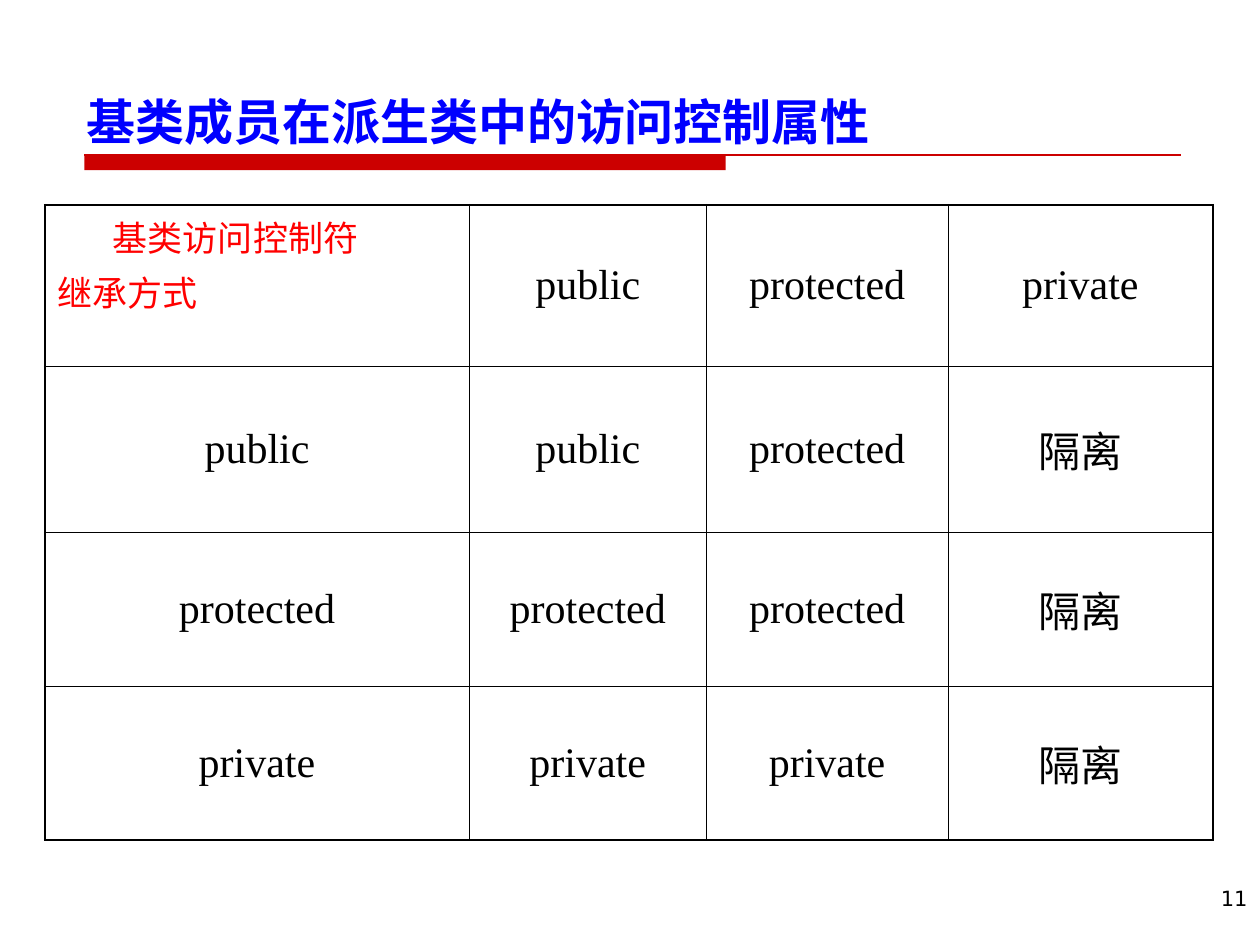
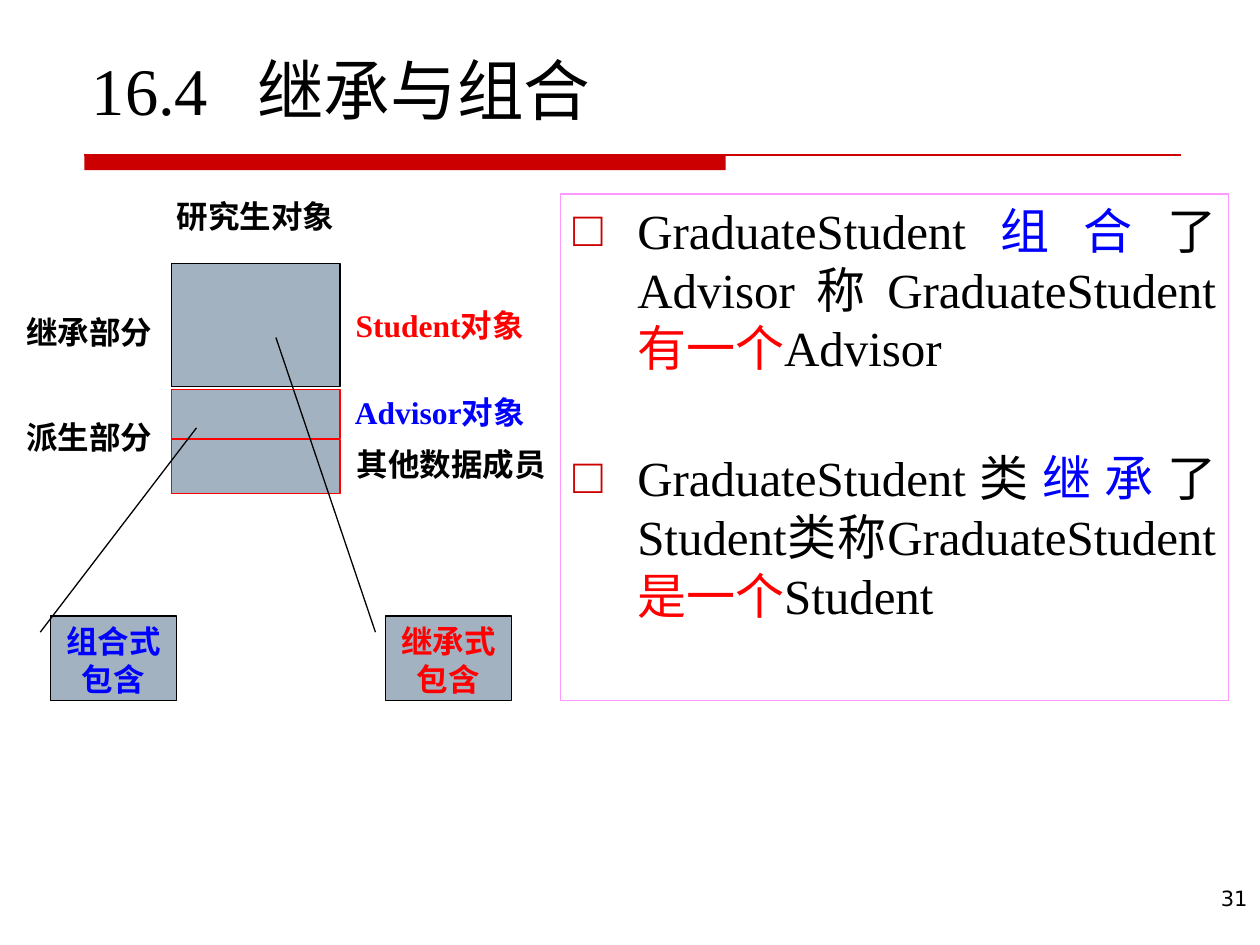
from dataclasses import dataclass

from lxml.etree import SubElement
from pptx import Presentation
from pptx.dml.color import RGBColor as Rgb
from pptx.enum.shapes import MSO_CONNECTOR as Link, MSO_SHAPE as Preset
from pptx.enum.text import MSO_ANCHOR as Anchor, PP_ALIGN as Align
from pptx.oxml.ns import qn
from pptx.util import Inches, Pt


@dataclass(frozen=True)
class Theme:
    """Colours, fonts, type sizes and line widths."""
    ink: str = "000000"
    blue: str = "0000FF"
    red: str = "FF0000"
    band: str = "CC0000"
    block: str = "A3B2C1"
    frame: str = "FF99FF"
    serif: str = "Times New Roman"
    sans: str = "DejaVu Sans"
    chapter: int = 38
    heading: int = 28
    cell: int = 24
    corner: int = 20
    label: int = 18
    footer: int = 12
    hairline: float = 0.75
    inner: float = 0.45
    outer: float = 1.08


class Deck:
    """Draws styled elements on the current slide, on a grid of 100 columns by 75 rows."""
    COLUMNS, ROWS = 100, 75

    def __init__(self, theme):
        """Open an empty 10 by 7.5 inch presentation."""
        self.theme = theme
        self.show = Presentation()
        self.show.slide_width, self.show.slide_height = Inches(10), Inches(7.5)
        self.slide = None

    def x(self, columns):
        """Turn columns into a length."""
        return round(self.show.slide_width * columns / self.COLUMNS)

    def y(self, rows):
        """Turn rows into a length."""
        return round(self.show.slide_height * rows / self.ROWS)

    def area(self, left, top, width, height):
        """Turn a grid area into lengths."""
        return self.x(left), self.y(top), self.x(width), self.y(height)

    def page(self, number):
        """Start a slide with the red band and the page number."""
        self.slide = self.show.slides.add_slide(self.show.slide_layouts[6])
        self.block((6.7, 12.3, 50.9, 1.2), self.theme.band)
        self.line((6.7, 12.3), (93.7, 12.3), self.theme.band)
        self.text((78.6, 69.8, 21.4, 5.2), str(number), self.theme.footer,
                  align=Align.RIGHT, font=self.theme.sans)

    def line(self, start, end, color):
        """Draw a straight line between two grid points."""
        rule = self.slide.shapes.add_connector(
            Link.STRAIGHT, self.x(start[0]), self.y(start[1]), self.x(end[0]), self.y(end[1]))
        rule.line.color.rgb = Rgb.from_string(color)
        rule.line.width = Pt(self.theme.hairline)
        SubElement(rule.element.spPr, qn("a:effectLst"))

    def block(self, area, fill=None, border=None, preset=Preset.RECTANGLE):
        """Draw a preset shape with an optional fill and border."""
        part = self.slide.shapes.add_shape(preset, *self.area(*area))
        part.shadow.inherit = False
        if fill:
            part.fill.solid()
            part.fill.fore_color.rgb = Rgb.from_string(fill)
        else:
            part.fill.background()
        if border:
            part.line.color.rgb = Rgb.from_string(border)
            part.line.width = Pt(self.theme.hairline)
        else:
            part.line.fill.background()
        return part

    def run(self, paragraph, words, size, color=None, bold=False, font=None):
        """Add one styled run."""
        run = paragraph.add_run()
        run.text = words
        run.font.size, run.font.bold = Pt(size), bold
        run.font.name = font or self.theme.serif
        run.font.color.rgb = Rgb.from_string(color or self.theme.ink)

    def text(self, area, words, size, align=Align.LEFT, anchor=Anchor.TOP, tab=None, **style):
        """Place a text box of one paragraph."""
        frame = self.slide.shapes.add_textbox(*self.area(*area)).text_frame
        frame.word_wrap, frame.vertical_anchor = True, anchor
        paragraph = frame.paragraphs[0]
        paragraph.alignment = align
        if tab:
            stops = SubElement(paragraph._p.get_or_add_pPr(), qn("a:tabLst"))
            SubElement(stops, qn("a:tab"), pos=str(self.x(tab)), algn="l")
        self.run(paragraph, words, size, **style)
        return frame

    def label(self, area, words, color=None):
        """Place a bold centred label on one line."""
        frame = self.text(area, words, self.theme.label, Align.CENTER, Anchor.MIDDLE,
                          color=color, bold=True)
        frame.word_wrap = False
        frame.margin_left = frame.margin_right = 0

    def callout(self, area, words, color, pointer):
        """Draw a box with a pointer line."""
        note = self.block(area, self.theme.block, self.theme.ink, Preset.LINE_CALLOUT_1)
        for index, share in enumerate(pointer):
            note.adjustments[index] = share
        frame = note.text_frame
        frame.word_wrap, frame.vertical_anchor = True, Anchor.TOP
        frame.paragraphs[0].alignment = Align.CENTER
        self.run(frame.paragraphs[0], words, self.theme.label, color, True)

    def bullets(self, area, points, indent, gap):
        """Place framed, justified bullet points, each a list of (words, colour)."""
        frame = self.block(area, border=self.theme.frame).text_frame
        frame.word_wrap, frame.vertical_anchor = True, Anchor.TOP
        for index, point in enumerate(points):
            paragraph = frame.add_paragraph() if index else frame.paragraphs[0]
            props = paragraph._p.get_or_add_pPr()
            props.set("marL", str(self.x(indent)))
            props.set("indent", str(-self.x(indent)))
            SubElement(SubElement(props, qn("a:buClr")), qn("a:srgbClr"), val=self.theme.band)
            SubElement(props, qn("a:buFont"), typeface=self.theme.serif)
            SubElement(props, qn("a:buChar"), char="□")
            paragraph.alignment = Align.JUSTIFY
            paragraph.space_before = Pt(gap if index else 0)
            for words, color in point:
                self.run(paragraph, words, self.theme.heading, color)

    def borders(self, cell, outer_sides):
        """Draw the four cell borders, heavier on the outer sides."""
        props = cell._tc.get_or_add_tcPr()
        for side in "LRTB":
            width = self.theme.outer if side in outer_sides else self.theme.inner
            edge = SubElement(props, qn(f"a:ln{side}"), w=str(Pt(width)))
            SubElement(SubElement(edge, qn("a:solidFill")), qn("a:srgbClr"), val=self.theme.ink)

    def table(self, left, top, widths, heights, content, corner):
        """Draw a ruled table whose first cell holds (words, indent) lines."""
        area = self.area(left, top, sum(widths), sum(heights))
        grid = self.slide.shapes.add_table(len(heights), len(widths), *area).table
        grid.first_row = grid.horz_banding = False
        for column, width in zip(grid.columns, widths):
            column.width = self.x(width)
        for row, height in zip(grid.rows, heights):
            row.height = self.y(height)
        for r, row in enumerate(content):
            for c, words in enumerate(row):
                cell = grid.cell(r, c)
                edges = {"L": c == 0, "R": c == len(widths) - 1, "T": r == 0, "B": r == len(heights) - 1}
                self.borders(cell, [side for side, outer in edges.items() if outer])
                cell.fill.background()
                if words:
                    cell.vertical_anchor = Anchor.MIDDLE
                    paragraph = cell.text_frame.paragraphs[0]
                    paragraph.alignment = Align.CENTER
                    self.run(paragraph, words, self.theme.cell)
        frame = grid.cell(0, 0).text_frame
        for index, (words, indent) in enumerate(corner):
            paragraph = frame.add_paragraph() if index else frame.paragraphs[0]
            paragraph._p.get_or_add_pPr().set("marL", str(self.x(indent)))
            paragraph.space_before = Pt(2.5 * index)
            self.run(paragraph, words, self.theme.corner, self.theme.red)


def access_slide(deck):
    """Show how inheritance changes member access."""
    deck.page(11)
    access = ["public", "protected", "private"]
    inherited = [[kind, *(max(kind, base, key=access.index) for base in access[:2]), "隔离"]
                 for kind in access]
    deck.table(3.55, 16.25, [33.7, 18.8, 19.2, 21], [12.8, 13.2, 12.2, 12.2],
               [["", *access], *inherited], [("基类访问控制符", 4.4), ("继承方式", 0)])
    deck.text((5.9, 6.8, 70.1, 5.7), "基类成员在派生类中的访问控制属性",
              deck.theme.heading, color=deck.theme.blue, bold=True)


def composition_slide(deck):
    """Compare inheritance with composition."""
    theme = deck.theme
    deck.page(31)
    deck.bullets((44.5, 15.4, 53, 40.2), [
        [("GraduateStudent", theme.ink), ("组合", theme.blue),
         ("了Advisor称GraduateStudent ", theme.ink), ("有一个", theme.red), ("Advisor", theme.ink)],
        [("GraduateStudent类", theme.ink), ("继承", theme.blue),
         ("了Student类称GraduateStudent ", theme.ink), ("是一个", theme.red), ("Student", theme.ink)],
    ], indent=5.1, gap=40.5)
    for top, height, border in [(20.9, 9.8, theme.ink), (30.9, 3.9, theme.red), (34.9, 4.3, theme.red)]:
        deck.block((13.6, top, 13.4, height), theme.block, border)
    for top, words in [(23, "继承部分"), (31.3, "派生部分")]:
        deck.label((1, top, 12.2, 6.7), words)
    for left, top, words, color in [
        (27.8, 34.9, "其他数据成员", theme.ink),
        (26.9, 23.8, "Student对象", theme.red),
        (26.9, 30.7, "Advisor对象", theme.blue),
        (12.3, 15.2, "研究生对象", theme.ink),
    ]:
        deck.label((left, top, 16, 3.9), words, color)
    for left, words, color, target in [
        (4, "组合式包含", theme.blue, (-2.23, 1.16)),
        (30.6, "继承式包含", theme.red, (-3.3, -0.87)),
    ]:
        deck.callout((left, 48.9, 10, 6.7), words, color, (0.19, -0.08, *target))
    deck.text((6.3, 3.3, 87.5, 7.4), "16.4\t继承与组合", theme.chapter, anchor=Anchor.BOTTOM, tab=13.15)


def main():
    """Build and save both slides."""
    deck = Deck(Theme())
    access_slide(deck)
    composition_slide(deck)
    deck.show.save("out.pptx")


if __name__ == "__main__":
    main()
